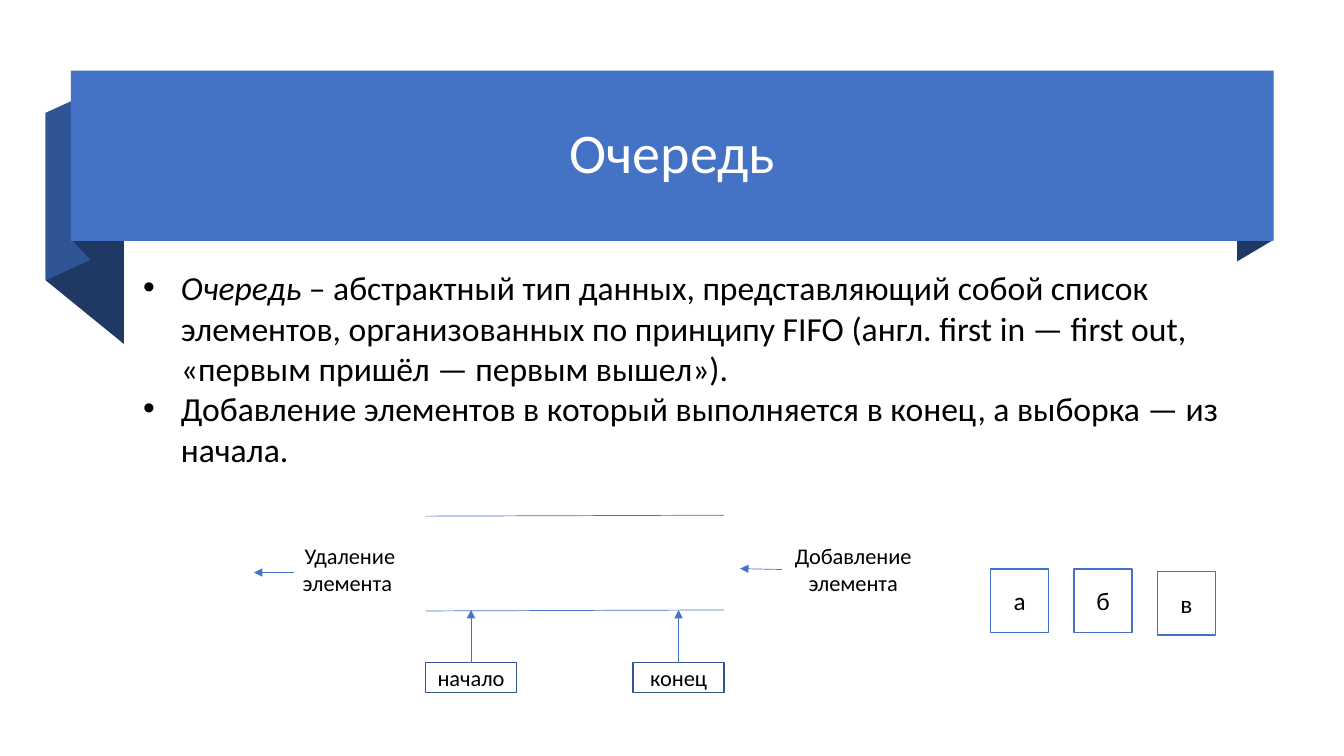
from lxml.etree import SubElement
from pptx import Presentation
from pptx.dml.color import RGBColor
from pptx.enum.shapes import MSO_CONNECTOR, MSO_SHAPE
from pptx.enum.text import MSO_ANCHOR, MSO_AUTO_SIZE, PP_ALIGN
from pptx.oxml.ns import qn
from pptx.util import Pt

BLUE, MID_BLUE, NAVY, MARKER_BLUE = "4472C4", "2F5597", "203864", "325491"
BLACK, WHITE = "000000", "FFFFFF"
TOP, LEFT = 0, 1  # connection sites


def color(value):
    return RGBColor.from_string(value)


def points(*values):
    return [Pt(value) for value in values]


def place(shape, left, top, width, height):
    shape.left, shape.top, shape.width, shape.height = points(left, top, width, height)


def write(paragraph, text, size=16, fill=BLACK, italic=False, align=None):
    """Append a formatted run to the paragraph."""
    run = paragraph.add_run()
    run.text = text
    run.font.name = "Calibri"
    run.font.size = Pt(size)
    run.font.italic = italic
    run.font.color.rgb = color(fill)
    if align is not None:
        paragraph.alignment = align


def paint(shape, fill):
    shape.fill.solid()
    shape.fill.fore_color.rgb = color(fill)
    shape.line.fill.background()
    shape.shadow.inherit = False


def add_box(slide, text, left, top, width, height, size, outline):
    """Add an unfilled rectangle with centred text."""
    shape = slide.shapes.add_shape(
        MSO_SHAPE.RECTANGLE, *points(left, top, width, height))
    shape.shadow.inherit = False
    shape.fill.background()
    shape.line.color.rgb = color(outline)
    shape.line.width = Pt(1)
    frame = shape.text_frame
    frame.margin_left = frame.margin_right = 0
    frame.vertical_anchor = MSO_ANCHOR.MIDDLE
    write(frame.paragraphs[0], text, size=size, align=PP_ALIGN.CENTER)
    return shape


def add_label(slide, text, left, top, width, height):
    label = slide.shapes.add_textbox(*points(left, top, width, height))
    frame = label.text_frame
    frame.word_wrap = True
    frame.vertical_anchor = MSO_ANCHOR.MIDDLE
    write(frame.paragraphs[0], text, align=PP_ALIGN.CENTER)
    return label


def add_line(slide, start, end, arrow=False):
    line = slide.shapes.add_connector(
        MSO_CONNECTOR.STRAIGHT, *points(*start, *end))
    line.line.color.rgb = color(BLUE)
    line.line.width = Pt(0.5)
    if arrow:
        SubElement(line.line._get_or_add_ln(), qn("a:tailEnd"), type="triangle")
    SubElement(line.element.spPr, qn("a:effectLst"))
    return line


def add_fold(slide, left, left_top, right, right_top, drop, fill):
    """Add a ribbon fold: two upright sides of length drop joined by slanted edges."""
    builder = slide.shapes.build_freeform(*points(right, right_top + drop))
    builder.add_line_segments([
        points(left, left_top + drop),
        points(left, left_top),
        points(right, right_top),
    ], close=True)
    paint(builder.convert_to_shape(), fill)


def build_banner(slide, text, left, top, width, height):
    right = left + width
    tail_left, tail_top = left - 18, top + 30.2
    fold_right = left + 13.7
    add_fold(slide, tail_left, tail_top, left + 37.8, top + 75.6, 119.6, NAVY)
    add_fold(slide, tail_left, tail_top, fold_right, top + 15.8, 119.6, MID_BLUE)
    add_fold(slide, left + 0.7, top, fold_right, top + 13.7, 121, NAVY)
    add_fold(slide, right - 26, top + 15.4, right, top, 121, NAVY)
    paint(slide.shapes.add_shape(
        MSO_SHAPE.RECTANGLE, *points(left, top, width, height)), BLUE)

    title = slide.shapes.title
    place(title, left + 25.2, top + 13, width - 50.4, height - 26)
    title.text_frame.vertical_anchor = MSO_ANCHOR.MIDDLE
    paragraph = title.text_frame.paragraphs[0]
    paragraph.line_spacing = 0.9
    write(paragraph, text, size=40, fill=WHITE, align=PP_ALIGN.CENTER)
    slide.shapes.element.append(title.element)  # in front of the banner


def build_definition(slide, items, left, top, width, height):
    """Fill the body with bullets; each item is a list of (text, italic)."""
    body = slide.placeholders[1]
    place(body, left, top, width, height)
    frame = body.text_frame
    frame.auto_size = MSO_AUTO_SIZE.NONE
    frame.vertical_anchor = MSO_ANCHOR.TOP
    for index, item in enumerate(items):
        paragraph = frame.add_paragraph() if index else frame.paragraphs[0]
        paragraph.space_before = Pt(0)
        paragraph.line_spacing = 1.0
        properties = paragraph._p.get_or_add_pPr()
        properties.set("marL", str(Pt(27)))
        properties.set("indent", str(-Pt(27)))
        SubElement(properties, qn("a:buFont"), typeface="Arial")
        SubElement(properties, qn("a:buChar"), char="•")
        for text, italic in item:
            write(paragraph, text, size=24, italic=italic)


def build_queue(slide, left, top, width, height):
    right, bottom = left + width, top + height
    for wall in (top, bottom):
        add_line(slide, (left, wall + 0.7), (right, wall))

    marker_width, marker_height = 65, 21.6
    markers = (("начало", left), ("конец", right - marker_width))
    for text, marker_left in markers:
        marker = add_box(slide, text, marker_left, bottom + 37.6,
                         marker_width, marker_height, 16, MARKER_BLUE)
        center = marker_left + marker_width / 2
        pointer = add_line(slide, (center, bottom + 37.6), (center, bottom), arrow=True)
        pointer.begin_connect(marker, TOP)

    label_top = top + 28
    add_label(slide, "Удаление элемента ", left - 108, label_top, 108, 21.6)
    add_line(slide, (left - 94, top + 41), (left - 122.5, top + 41), arrow=True)
    adding = add_label(slide, "Добавление элемента",
                       right + 41.5, label_top, 101.5, 21.6)
    arrow = add_line(slide, (right + 41.5, label_top + 10.8),
                     (right + 11.5, top + 38.2), arrow=True)
    arrow.begin_connect(adding, LEFT)


def build_elements(slide, left, top, size, pitch):
    width, height = size
    for index, (letter, shift) in enumerate((("а", 0), ("б", 0), ("в", 1.6))):
        add_box(slide, letter, left + index * pitch, top + shift,
                width, height, 18, BLUE)


def main():
    presentation = Presentation()
    presentation.slide_width, presentation.slide_height = points(960, 540)
    slide = presentation.slides.add_slide(presentation.slide_layouts[1])
    build_banner(slide, "Очередь", 50.6, 50.4, 859, 121.7)
    build_definition(slide, [
        [("Очередь ", True),
         ("– абстрактный тип данных, представляющий собой список элементов, "
          "организованных по принципу FIFO (англ. first in — first out, "
          "«первым пришёл — первым вышел»).", False)],
        [("Добавление элементов в который выполняется в конец, "
          "а выборка — из начала.", False)],
    ], 95, 187.2, 834, 240)
    build_elements(slide, 707.5, 406.5, (41.6, 45.4), 59.6)
    build_queue(slide, 304, 368, 213.2, 67.7)
    presentation.save("out.pptx")


if __name__ == "__main__":
    main()
